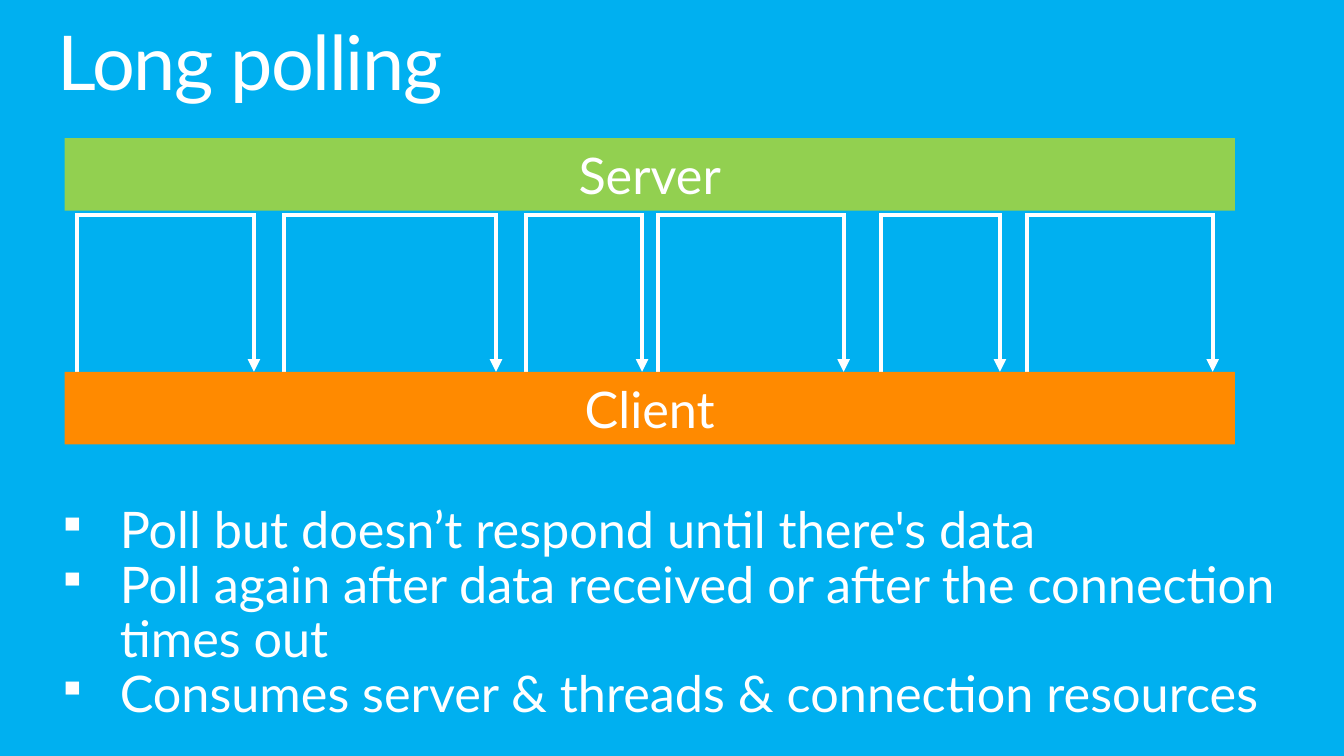
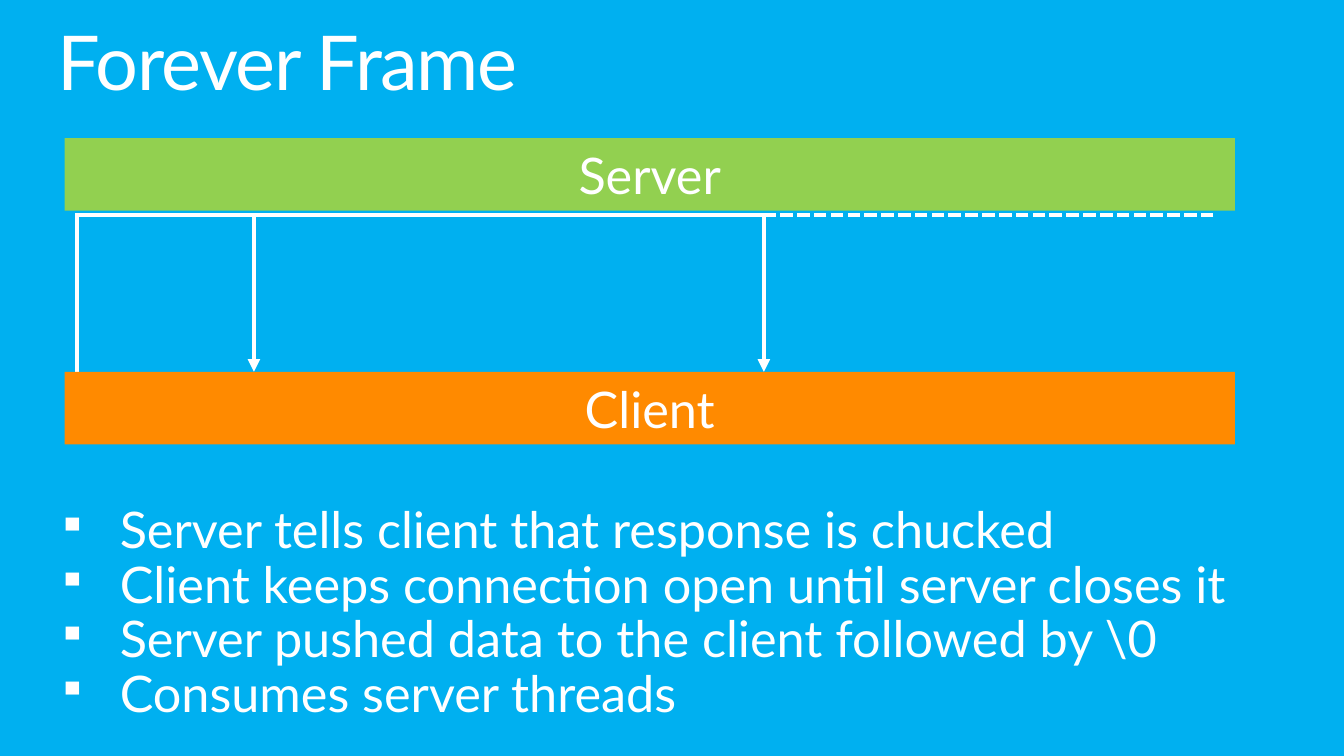
"""Build two slides that compare long polling with a forever frame."""
from dataclasses import dataclass

from lxml.etree import SubElement
from pptx import Presentation
from pptx.dml.color import RGBColor
from pptx.enum.dml import MSO_LINE
from pptx.enum.shapes import MSO_CONNECTOR, MSO_SHAPE
from pptx.enum.text import MSO_ANCHOR, MSO_AUTO_SIZE, PP_ALIGN
from pptx.oxml.ns import qn
from pptx.util import Cm, Pt

FONT = "Lato"
SKY, WHITE, GREEN, ORANGE = "00B0F0", "FFFFFF", "92D050", "FF8A00"
TEXT_LEFT = 1.45
BAR_LEFT, BAR_WIDTH, BAR_HEIGHT = 1.63, 29.49, 1.83
SERVER_TOP, CLIENT_TOP = 3.48, 9.37
WIRE_TOP, WIRE_MIDDLE = 5.38, 5.42
OVERHANG = 0.05
INDENT = 1.57


@dataclass(frozen=True)
class Exchange:
    start: float
    end: float
    requested: bool = True


@dataclass(frozen=True)
class Technique:
    title: str
    points: tuple[str, ...]
    exchanges: tuple[Exchange, ...]
    open_span: tuple[float, float] | None = None


TECHNIQUES = (
    Technique(
        "Long polling",
        (
            "Poll but doesn’t respond until there's data",
            "Poll again after data received or after the connection times out",
            "Consumes server & threads & connection resources",
        ),
        (
            Exchange(1.95, 6.4),
            Exchange(7.15, 12.5),
            Exchange(13.26, 16.18),
            Exchange(16.59, 21.26),
            Exchange(22.2, 25.2),
            Exchange(25.88, 30.56),
        ),
    ),
    Technique(
        "Forever Frame",
        (
            "Server tells client that response is chucked",
            "Client keeps connection open until server closes it",
            r"Server pushed data to the client followed by \0",
            "Consumes server threads",
        ),
        (Exchange(1.95, 6.4), Exchange(6.4, 19.25, requested=False)),
        open_span=(18.97, 30.58),
    ),
)


def color(value: str) -> RGBColor:
    return RGBColor.from_string(value)


def style_text(frame, size: float, spacing: int | None = None) -> None:
    for paragraph in frame.paragraphs:
        for run in paragraph.runs:
            run.font.name = FONT
            run.font.size = Pt(size)
            run.font.color.rgb = color(WHITE)
            if spacing is not None:
                run.font._element.set("spc", str(spacing))


def add_text(slide, text: str, top: float, width: float, height: float):
    box = slide.shapes.add_textbox(Cm(TEXT_LEFT), Cm(top), Cm(width), Cm(height))
    frame = box.text_frame
    frame.word_wrap = True
    frame.auto_size = MSO_AUTO_SIZE.SHAPE_TO_FIT_TEXT
    frame.margin_left = frame.margin_right = Cm(0)
    frame.margin_top = frame.margin_bottom = Cm(0)
    frame.text = text
    for paragraph in frame.paragraphs:
        paragraph.line_spacing = 0.9
    return frame


def add_title(slide, title: str) -> None:
    style_text(add_text(slide, title, 0.64, 30.99, 2.08), 54, spacing=-100)


def add_points(slide, points: tuple[str, ...]) -> None:
    frame = add_text(slide, "\n".join(points), 12.73, 31.7, 5.54)
    style_text(frame, 36)
    for paragraph in frame.paragraphs:
        properties = paragraph._p.get_or_add_pPr()
        properties.set("marL", str(Cm(INDENT)))
        properties.set("indent", str(-Cm(INDENT)))
        SubElement(properties, qn("a:buSzPct"), val="80000")
        SubElement(properties, qn("a:buChar"), char="▪")


def add_bar(slide, label: str, top: float, fill: str) -> None:
    bar = slide.shapes.add_shape(
        MSO_SHAPE.RECTANGLE, Cm(BAR_LEFT), Cm(top), Cm(BAR_WIDTH), Cm(BAR_HEIGHT)
    )
    bar.shadow.inherit = False
    bar.fill.solid()
    bar.fill.fore_color.rgb = color(fill)
    bar.line.fill.background()
    frame = bar.text_frame
    frame.text = label
    frame.vertical_anchor = MSO_ANCHOR.MIDDLE
    frame.paragraphs[0].alignment = PP_ALIGN.CENTER
    style_text(frame, 36)


def add_wire(shapes, x1: float, y1: float, x2: float, y2: float,
             arrow: bool = False, dashed: bool = False) -> None:
    wire = shapes.add_connector(
        MSO_CONNECTOR.STRAIGHT, Cm(x1), Cm(y1), Cm(x2), Cm(y2)
    )
    wire.line.color.rgb = color(WHITE)
    wire.line.width = Pt(3)
    if dashed:
        wire.line.dash_style = MSO_LINE.SQUARE_DOT
    if arrow:
        SubElement(wire.line._get_or_add_ln(), qn("a:tailEnd"), type="triangle")
    SubElement(wire._element.spPr, qn("a:effectLst"))


def add_exchange(slide, exchange: Exchange) -> None:
    shapes = slide.shapes.add_group_shape().shapes
    add_wire(shapes, exchange.end, WIRE_TOP, exchange.end, CLIENT_TOP, arrow=True)
    if exchange.requested:
        add_wire(shapes, exchange.start, WIRE_TOP, exchange.start, CLIENT_TOP)
    left = exchange.start - (OVERHANG if exchange.requested else 0)
    add_wire(shapes, exchange.end + OVERHANG, WIRE_MIDDLE, left, WIRE_MIDDLE)


def add_technique(deck, technique: Technique) -> None:
    slide = deck.slides.add_slide(deck.slide_layouts[6])
    slide.background.fill.solid()
    slide.background.fill.fore_color.rgb = color(SKY)
    add_title(slide, technique.title)
    add_points(slide, technique.points)
    add_bar(slide, "Server", SERVER_TOP, GREEN)
    for exchange in technique.exchanges:
        add_exchange(slide, exchange)
    add_bar(slide, "Client", CLIENT_TOP, ORANGE)
    if technique.open_span:
        start, end = technique.open_span
        add_wire(slide.shapes, end, WIRE_MIDDLE, start, WIRE_MIDDLE, dashed=True)


def main() -> None:
    deck = Presentation()
    deck.slide_width, deck.slide_height = Cm(33.87), Cm(19.05)
    for technique in TECHNIQUES:
        add_technique(deck, technique)
    deck.save("out.pptx")


if __name__ == "__main__":
    main()
